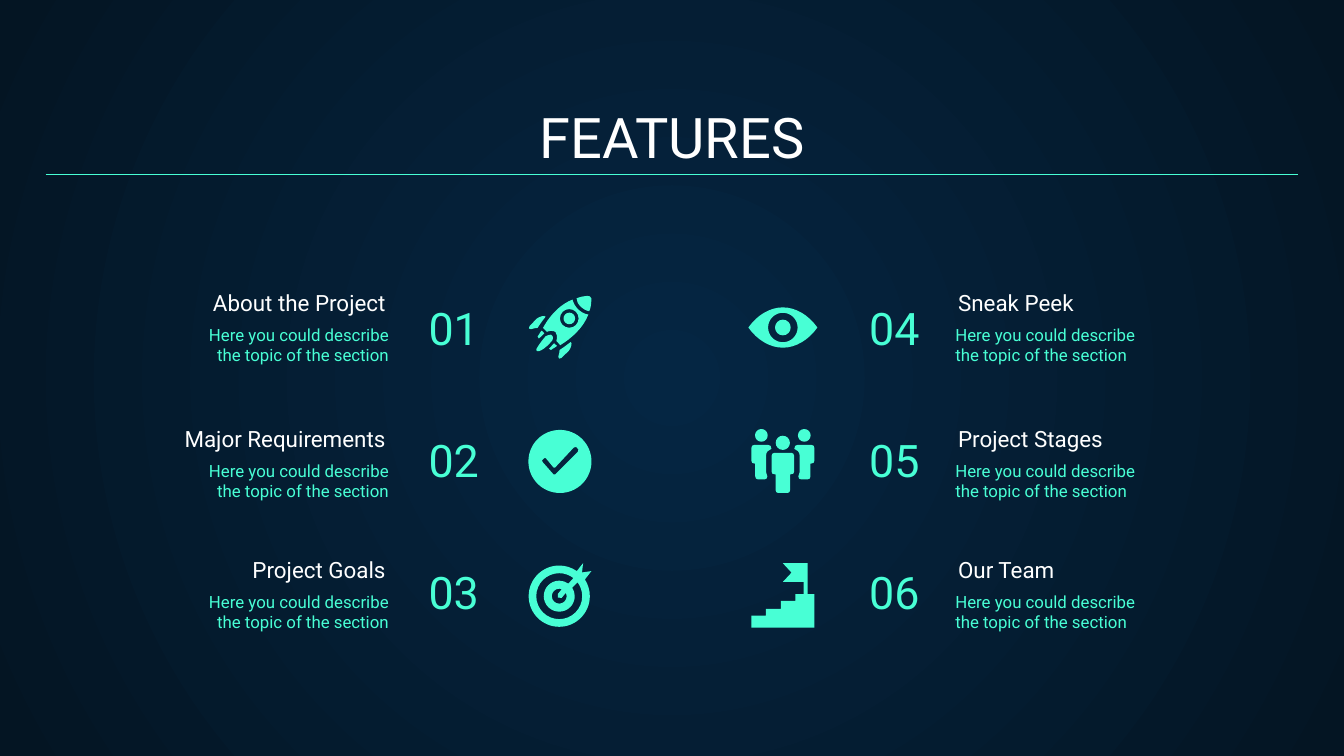
"""Builds a features slide with six numbered sections and their icons."""
from math import cos, radians, sin, tan

from lxml import etree
from pptx import Presentation
from pptx.dml import color
from pptx.enum import shapes, text
from pptx.oxml import ns, parse_xml
from pptx.util import Pt

HUES = {"mint": "48FFD5", "white": "FFFFFF", "core": "052643", "edge": "041523"}
FONT = "Roboto"
TITLE = "FEATURES"
NOTE = "Here you could describe\nthe topic of the section"
LEFT, MID, RIGHT = text.PP_ALIGN.LEFT, text.PP_ALIGN.CENTER, text.PP_ALIGN.RIGHT


def arc(x, y, rad, start=0, end=360):
    low, high = sorted((start, end))
    cuts = [low, *(q for q in range(-270, 361, 90) if low < q < high), high]
    turns = [radians(c) for c in (cuts if start < end else cuts[::-1])]
    line = [(x + rad * cos(turns[0]), y + rad * sin(turns[0]))]
    for a, b in zip(turns, turns[1:]):
        k = 4 / 3 * tan((b - a) / 4)
        line.append((x + rad * (cos(a) - k * sin(a)), y + rad * (sin(a) + k * cos(a)),
                     x + rad * (cos(b) + k * sin(b)), y + rad * (sin(b) - k * cos(b)),
                     x + rad * cos(b), y + rad * sin(b)))
    return line


def flip(line):
    return [tuple(-v if i % 2 == 0 else v for i, v in enumerate(p)) for p in line]


def swap(line):
    return [tuple(-p[i + 1 - 2 * (i % 2)] for i in range(len(p))) for p in line]


SPARK = [(-9.8, 1.6), (-11.3, 3.1, -11.3, 4.5, -12, 4.8), (-11.3, 5.9), (-8.4, 3.1)]
FLAME = [(-4.8, 3.8), (-5.5, 3.8, -7, 4.2, -7.7, 4.7), (-10.6, 8.1, -12, 10.3, -12.7, 11.7),
         (-12.9, 12.5, -12.2, 13.2, -11.3, 12.7), (-9.8, 12.2, -7.7, 11, -4.8, 7.7),
         (-3.4, 6.6, -3.4, 4.5, -4.8, 3.8)]
FIN = [(-8.4, -6.2), (-9.8, -6.2, -12, -5.6, -13.4, -3.8), (-16.3, -.7),
       (-17.2, .2, -16.6, 1, -15.6, .9), (-14.1, .4, -12.7, .2, -12, .2),
       (-10.6, -2, -9.1, -4, -7.7, -5.8)]
NOSE = [(14.6, -17), (12.5, -17, 11, -16.4, 8.9, -15.7), (8.9, -14.2, 9.6, -12.8, 11, -11.3),
        (12.5, -9.9, 14.2, -8.9, 15.7, -8.8), (16.6, -10.6, 16.8, -13.5, 16.8, -15.7),
        (16.7, -16.8, 15.4, -17, 14.6, -17)]
HULL = [(6.7, -15), (1, -12.8, -4.8, -7.7, -9.1, .2), (-7, 2.3),
        (-5.8, 1.6, -3.4, 1.6, -2.4, 2.4), (-1.4, 3.4, -1.4, 5.2, -1.9, 7.2), (.2, 9.4),
        (6, 5.9, 12.5, .2, 15.2, -7), (13.2, -7.2, 11, -8.5, 9.6, -9.9),
        (8.2, -11.3, 7.2, -13.2, 6.7, -15)]
TICK = [(8.2, -7.7), (8.9, -7.6), (9.9, -6.3), (9.6, -5.2), (-2.5, 7), (-3.4, 7),
        (-9.2, .4), (-9.6, -.5), (-8.4, -1.8), (-7.6, -1.8), (-3.4, 3.3),
        (-2.6, 3.3), (7.4, -7.4)]
LID = [(18.5, 0), (13.7, -6.8, 6.8, -10.8, 0, -10.8), (-6.8, -10.8, -13.7, -6.8, -18.5, 0),
       (-13.7, 6.8, -6.8, 10.8, 0, 10.8), (6.8, 10.8, 13.7, 6.8, 18.5, 0)]
SIDE = [(-15.2, -8.9), (-16.3, -8.9, -16.9, -8.3, -16.9, -7.2), (-16.9, -.4),
        (-16.9, .6, -16.2, 1.2, -14.8, 1.2), (-14.8, 8), (-14.8, 9, -14.2, 9.6, -13.2, 9.6),
        (-9.9, 9.6), (-8.8, 9.6, -8.3, 9, -8.3, 8), (-9, 5.6),
        (-9, -3.2), (-9, -5, -7.6, -6.4, -6.1, -6.8), (-6.1, -8.2, -6.8, -8.9, -7.9, -8.9)]
HALF = [(-4.6, -4.6), (-5.6, -4.2), (-6, -3.2), (-6, 5.6), (-5.6, 6.6), (-3.9, 7),
        (-3.9, 15.4), (-3.5, 16.5), (-2.5, 16.9)]
STEPS = [(0, -17.3), (4.7, -12.2), (0, -7.2), (11.2, -7.2), (11.2, -.7), (6.8, -.7),
         (6.8, 2.9), (-1, 2.9), (-1, 7.2), (-9, 7.2), (-9, 10.8), (-16.9, 10.8),
         (-16.9, 17.2), (16.9, 17.2), (16.9, -.7), (13.3, -.7), (13.3, -17.3)]
HUB = (-.4, .4)
DART = [(12.4, -17.3), (11.8, -12.3), (16.8, -13)]
TIP = [(-1.2, -.7), (-1.2, 1.2), (.9, 1.3)]

ROCKET = [[SPARK], [swap(SPARK)], [FLAME], [FIN], [swap(FIN)], [arc(5, -4.9, 3.1)],
          [NOSE], [HULL, arc(5, -4.9, 5)]]
CHECK = [[arc(0, 0, 16.9), TICK]]
TARGET = [[arc(*HUB, 16.4, -33, 305) + DART,
           arc(*HUB, 12.3, -37, 308) + arc(*HUB, 8.3, 306, -33),
           arc(*HUB, 4, -27, 290) + TIP]]
EYE = [[LID, arc(0, 0, 7.9), arc(0, 0, 4.2)]]
TEAM = [[arc(-11.5, -14, 3.4)], [SIDE], [arc(11.5, -14, 3.4)], [flip(SIDE)],
        [HALF + flip(HALF)[::-1]], [arc(0, -10, 3.8)]]
STAIRS = [[STEPS]]

SIDES = [
    {"icon": 300, "num": 222.5, "head": 50.4, "note": 56.9, "wide": 158.4,
     "outer": RIGHT, "inner": LEFT,
     "items": [("01", "About the Project", ROCKET), ("02", "Major Requirements", CHECK),
               ("03", "Project Goals", TARGET)]},
    {"icon": 419.4, "num": 406.8, "head": 506.2, "note": 504.7, "wide": 149,
     "outer": LEFT, "inner": RIGHT,
     "items": [("04", "Sneak Peek", EYE), ("05", "Project Stages", TEAM),
               ("06", "Our Team", STAIRS)]},
]
TOPS = [161.3, 234, 304.4]


def rgb(name):
    return color.RGBColor.from_string(HUES[name])


def write(shape, words, size, hue, align, anchor=text.MSO_ANCHOR.BOTTOM):
    frame = shape.text_frame
    frame.text = words
    frame.word_wrap = True
    frame.auto_size = text.MSO_AUTO_SIZE.NONE
    frame.vertical_anchor = anchor
    frame.margin_left = frame.margin_right = Pt(7.2)
    frame.margin_top = frame.margin_bottom = Pt(7.2)
    for para in frame.paragraphs:
        para.alignment = align
        for run in para.runs:
            run.font.name, run.font.size = FONT, Pt(size)
            run.font.color.rgb = rgb(hue)


def label(slide, spot, *style):
    write(slide.shapes.add_textbox(*map(Pt, spot)), *style)


def bend(shape, knots, x, y):
    tags = [ns.qn("a:moveTo"), ns.qn("a:lnTo")]
    for node, knot in zip(list(shape._element.iter(*tags)), knots):
        if len(knot) == 6:
            node.tag = ns.qn("a:cubicBezTo")
            for i in (0, 2):
                node.insert(i // 2, etree.Element(
                    ns.qn("a:pt"), x=str(Pt(x + knot[i]) - shape.left),
                    y=str(Pt(y + knot[i + 1]) - shape.top)))


def draw(slide, icon, x, y):
    home = slide.shapes if len(icon) == 1 else slide.shapes.add_group_shape().shapes
    for part in icon:
        pen = None
        for line in part:
            dots = [(Pt(x + p[-2]), Pt(y + p[-1])) for p in line]
            if pen is None:
                pen = home.build_freeform(*dots[0])
            else:
                pen.move_to(*dots[0])
            pen.add_line_segments(dots[1:], close=True)
        shape = pen.convert_to_shape()
        bend(shape, [knot for line in part for knot in line], x, y)
        shape.shadow.inherit = False
        shape.fill.solid()
        shape.fill.fore_color.rgb = rgb("mint")
        shape.line.fill.background()


def paint(slide):
    fill = slide.background.fill
    fill.gradient()
    for stop, hue in zip(fill.gradient_stops, ("core", "edge")):
        stop.color.rgb = rgb(hue)
    lin = slide.element.find(".//" + ns.qn("a:lin"))
    lin.getparent().replace(lin, parse_xml(
        f'<a:path {ns.nsdecls("a")} path="circle">'
        '<a:fillToRect l="50000" t="50000" r="50000" b="50000"/></a:path>'))


def main():
    deck = Presentation()
    deck.slide_width, deck.slide_height = Pt(720), Pt(405)
    slide = deck.slides.add_slide(deck.slide_layouts[5])
    paint(slide)
    title = slide.shapes.title
    title.left, title.top, title.width, title.height = map(Pt, (24.5, 50.4, 671, 47.5))
    write(title, TITLE, 30, "white", MID)
    for side in SIDES:
        for row, (num, head, icon) in enumerate(side["items"]):
            top = TOPS[row]
            label(slide, (side["note"], top + 5.5, side["wide"], 39.6), NOTE, 9, "mint",
                  side["outer"], text.MSO_ANCHOR.TOP)
            label(slide, (side["num"], 149.8 + 70.55 * row, 92.9, 47.5), num, 24, "mint",
                  side["inner"])
            label(slide, (side["head"], top, 163.4, 15.1), head, 12, "white", side["outer"])
            draw(slide, icon, side["icon"], 175.5 + 71.75 * row)
    rule = slide.shapes.add_connector(
        shapes.MSO_CONNECTOR.STRAIGHT, *map(Pt, (24.5, 93.6, 695.5, 93.6)))
    rule.line.color.rgb, rule.line.width = rgb("mint"), Pt(.75)
    rule._element.spPr.append(parse_xml(f'<a:effectLst {ns.nsdecls("a")}/>'))
    deck.save("out.pptx")


if __name__ == "__main__":
    main()
